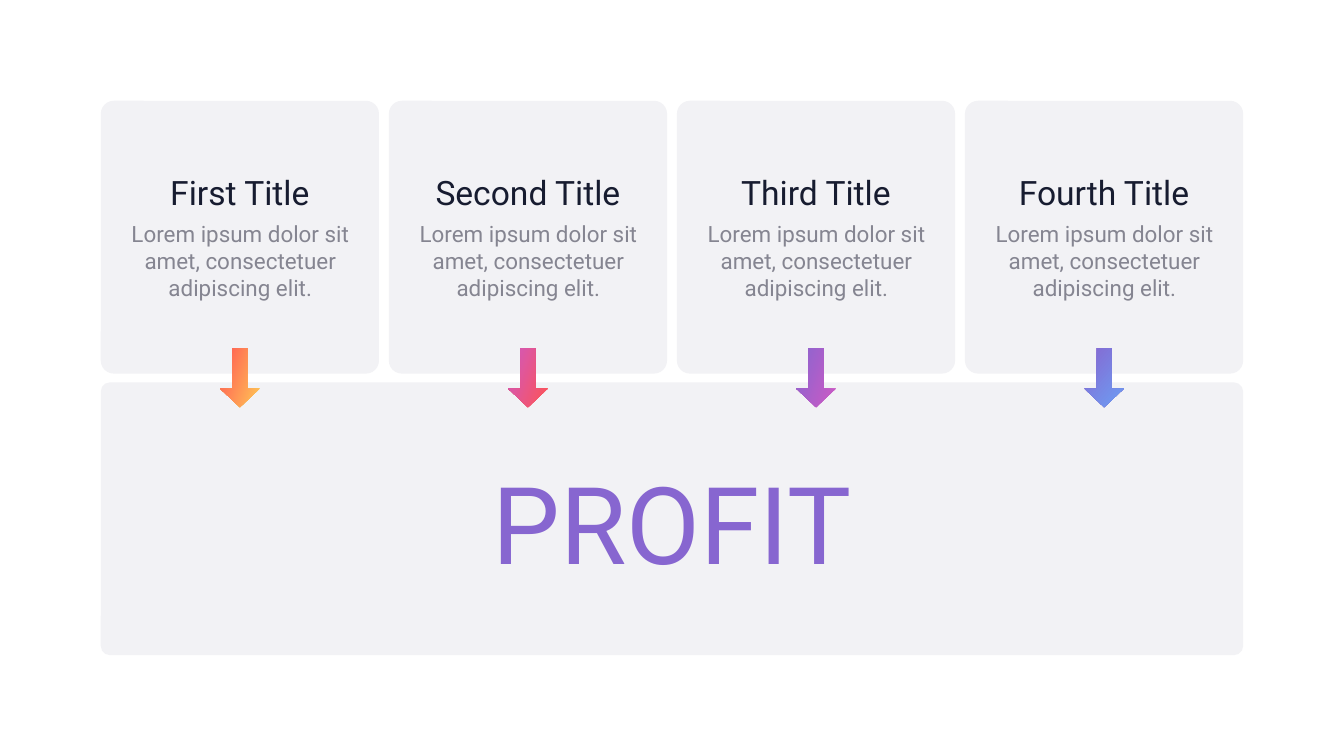
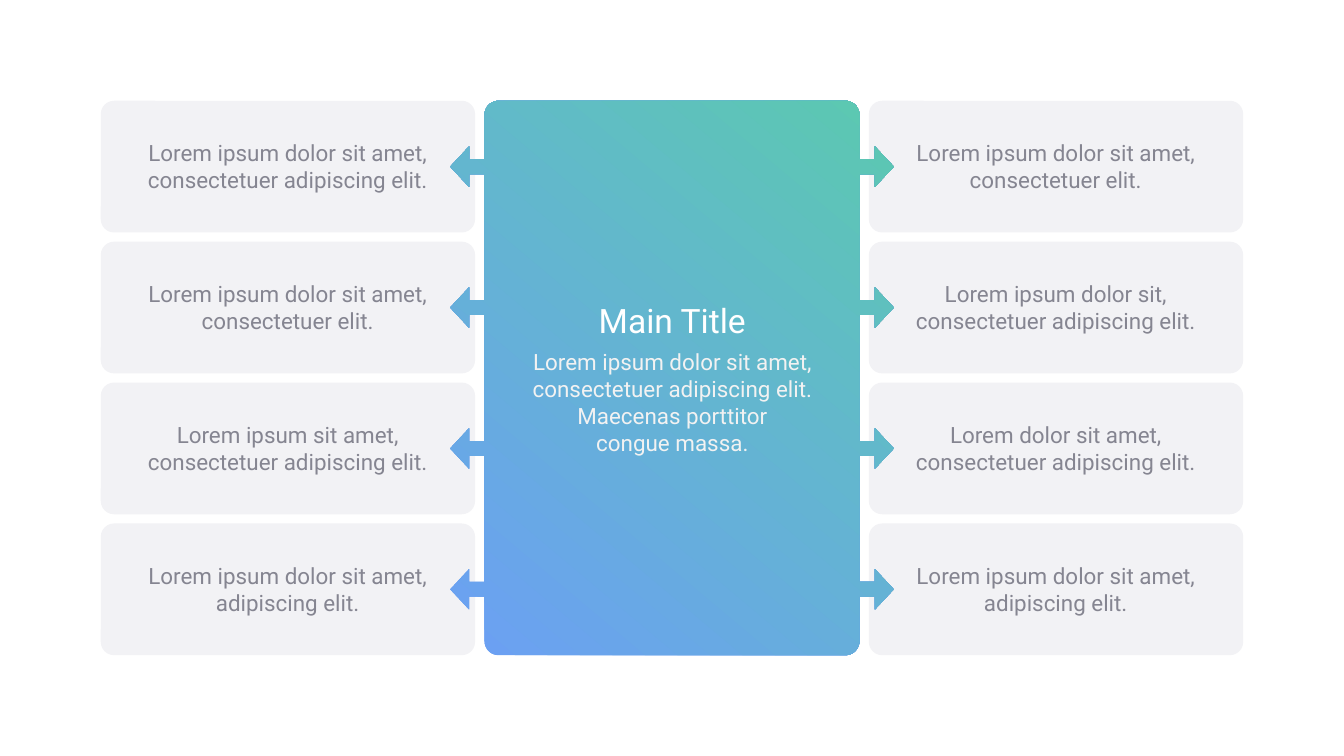
"""Build two slides: four steps leading to profit, and a hub pointing at eight notes."""
import math
from dataclasses import dataclass

from pptx import Presentation
from pptx import util as u
from pptx.dml.color import RGBColor
from pptx.dml.fill import FillFormat
from pptx.enum import shapes, text
from pptx.shapes.autoshape import Shape
from pptx.slide import Slide

FONT = "Roboto"
WHITE = RGBColor(0xFF, 0xFF, 0xFF)
CARD_GREY = RGBColor(0xF2, 0xF2, 0xF5)
PALE = RGBColor(0xF2, 0xF2, 0xF2)
INK = RGBColor(0x17, 0x1C, 0x30)
MUTED = RGBColor(0x85, 0x85, 0x91)
YELLOW = RGBColor(0xFF, 0xC9, 0x55)
RED = RGBColor(0xFF, 0x53, 0x55)
PINK = RGBColor(0xCE, 0x59, 0xC4)
PURPLE = RGBColor(0x87, 0x66, 0xD0)
BLUE = RGBColor(0x6C, 0x9F, 0xF4)
TEAL = RGBColor(0x5B, 0xC9, 0xB0)

SLIDE_WIDTH, SLIDE_HEIGHT = 20, 11.25
MARGIN = 1.5
CONTENT_WIDTH = SLIDE_WIDTH - 2 * MARGIN
CONTENT_HEIGHT = SLIDE_HEIGHT - 2 * MARGIN
COUNT = 4


@dataclass(frozen=True)
class Box:
    left: float
    top: float
    width: float
    height: float

    @property
    def center_x(self) -> float:
        return self.left + self.width / 2

    @property
    def center_y(self) -> float:
        return self.top + self.height / 2

    def lengths(self) -> list[u.Length]:
        return [u.Inches(n) for n in (self.left, self.top, self.width, self.height)]


@dataclass(frozen=True)
class Style:
    size: float
    color: RGBColor


@dataclass(frozen=True)
class Gradient:
    start: RGBColor
    end: RGBColor
    angle: float
    first_position: float = 0


@dataclass(frozen=True)
class Step:
    title: str
    gradient: Gradient


HEADING = Style(36, INK)
BODY = Style(24, MUTED)
HUB_HEADING = Style(36, WHITE)
HUB_BODY = Style(24, PALE)
PROFIT = Style(115, PURPLE)
PROFIT_GRADIENT = Gradient(PURPLE, BLUE, 50, 0.01)
HUB_GRADIENT = Gradient(BLUE, TEAL, 50)

STEP_TEXT = "Lorem ipsum dolor sit amet, consectetuer adipiscing elit."
STEPS = [
    Step("First Title", Gradient(YELLOW, RED, 250)),
    Step("Second Title", Gradient(RED, PINK, 250)),
    Step("Third Title", Gradient(PINK, PURPLE, 250)),
    Step("Fourth Title", Gradient(PURPLE, BLUE, 50)),
]
LEFT_NOTES = [
    "Lorem ipsum dolor sit amet, consectetuer adipiscing elit.",
    "Lorem ipsum dolor sit amet, consectetuer elit.",
    "Lorem ipsum sit amet, consectetuer adipiscing elit.",
    "Lorem ipsum dolor sit amet, adipiscing elit.",
]
RIGHT_NOTES = [
    "Lorem ipsum dolor sit amet, consectetuer elit.",
    "Lorem ipsum dolor sit, consectetuer adipiscing elit.",
    "Lorem dolor sit amet, consectetuer adipiscing elit.",
    "Lorem ipsum dolor sit amet, adipiscing elit.",
]
HUB_TEXT = [
    "Lorem ipsum dolor sit amet, consectetuer adipiscing elit. Maecenas porttitor",
    "congue massa.",
]


def starts(size: float, total: float) -> list[float]:
    """Return the starts of equally spaced items that fill a total length."""
    return [MARGIN + i * (total - size) / (COUNT - 1) for i in range(COUNT)]


def apply_gradient(fill: FillFormat, gradient: Gradient) -> None:
    """Fill with a two-stop linear gradient."""
    fill.gradient()
    fill.gradient_angle = gradient.angle
    first, last = fill.gradient_stops
    first.position, first.color.rgb = gradient.first_position, gradient.start
    last.position, last.color.rgb = 1, gradient.end


def strip_effects(shape: Shape) -> None:
    """Remove the outline and shadow."""
    shape.shadow.inherit = False
    shape.line.fill.background()


def add_card(page: Slide, box: Box, corner: float) -> None:
    """Draw a grey rounded card."""
    card = page.shapes.add_shape(shapes.MSO_SHAPE.ROUNDED_RECTANGLE, *box.lengths())
    card.adjustments[0] = corner
    card.fill.solid()
    card.fill.fore_color.rgb = CARD_GREY
    strip_effects(card)


def write(shape: Shape, lines: list[str], style: Style) -> None:
    """Write centred paragraphs in one style."""
    frame = shape.text_frame
    frame.word_wrap = True
    frame.auto_size = text.MSO_AUTO_SIZE.SHAPE_TO_FIT_TEXT
    frame.vertical_anchor = text.MSO_ANCHOR.TOP
    frame.text = "\n".join(lines)
    for para in frame.paragraphs:
        para.alignment = text.PP_ALIGN.CENTER
        para.font.name = FONT
        para.font.size = u.Pt(style.size)
        para.font.color.rgb = style.color


def add_text(page: Slide, box: Box, lines: list[str], style: Style) -> None:
    """Add a text box."""
    write(page.shapes.add_textbox(*box.lengths()), lines, style)


def place_title(page: Slide, box: Box, line: str, style: Style) -> Shape:
    """Move the title placeholder to the front and write it."""
    title = page.shapes.title
    page.shapes.element.append(title.element)
    title.left, title.top, title.width, title.height = box.lengths()
    write(title, [line], style)
    return title


def add_step(page: Slide, card: Box, step: Step) -> None:
    """Draw one step card with its texts."""
    add_card(page, card, 0.048)
    add_text(page, Box(card.center_x - 1.73, 2.51, 3.46, 0.71), [step.title], HEADING)
    add_text(page, Box(card.center_x - 1.87, 3.23, 3.75, 1.31), [STEP_TEXT], BODY)


def add_down_arrow(page: Slide, center_x: float, gradient: Gradient) -> None:
    """Draw an arrow from a step down to the profit card."""
    box = Box(center_x - 0.44, SLIDE_HEIGHT / 2 - 0.3, 0.88, 0.59)
    arrow = page.shapes.add_shape(shapes.MSO_SHAPE.RIGHT_ARROW, *box.lengths())
    arrow.rotation = 90
    arrow.adjustments[0], arrow.adjustments[1] = 0.378, 0.471
    apply_gradient(arrow.fill, gradient)
    strip_effects(arrow)


def build_profit(page: Slide) -> None:
    """Build the slide with four steps and the profit card."""
    width, height = 4.14, 4.06
    cards = [Box(left, MARGIN, width, height) for left in starts(width, CONTENT_WIDTH)]
    for card, step in zip(cards, STEPS):
        add_step(page, card, step)
    add_card(page, Box(MARGIN, 5.69, CONTENT_WIDTH, height), 0.034)
    title = place_title(page, Box(3.87, 6.76, 12.26, 2.04), "PROFIT", PROFIT)
    apply_gradient(title.text_frame.paragraphs[0].runs[0].font.fill, PROFIT_GRADIENT)
    for card, step in zip(cards, STEPS):
        add_down_arrow(page, card.center_x, step.gradient)


def corner_arc(x: float, y: float, radius: float, first: int) -> list[tuple[float, float]]:
    """Return points along a quarter circle, clockwise from an angle in degrees."""
    angles = [math.radians(first + degrees) for degrees in range(0, 91, 10)]
    return [(x + radius * math.cos(a), y + radius * math.sin(a)) for a in angles]


def add_hub(page: Slide, arrow_centers: list[float]) -> None:
    """Draw the rounded hub with arrows on both sides."""
    edge, neck, tip, radius = 12.79, 13.02, 13.3, 0.21
    bottom = SLIDE_HEIGHT - MARGIN
    profile = [(edge, -0.11), (neck, -0.11), (neck, -0.3), (tip, 0),
               (neck, 0.3), (neck, 0.11), (edge, 0.11)]
    right = corner_arc(edge - radius, MARGIN + radius, radius, -90)
    right += [(x, center + dy) for center in arrow_centers for x, dy in profile]
    right += corner_arc(edge - radius, bottom - radius, radius, 0)
    left = [(SLIDE_WIDTH - x, y) for x, y in reversed(right)]
    points = [(u.Inches(x), u.Inches(y)) for x, y in right + left]
    builder = page.shapes.build_freeform(*points[0])
    builder.add_line_segments(points[1:], close=True)
    hub = builder.convert_to_shape()
    apply_gradient(hub.fill, HUB_GRADIENT)
    strip_effects(hub)


def build_hub(page: Slide) -> None:
    """Build the slide with a central hub and notes on both sides."""
    width, height = 5.57, 1.96
    tops = starts(height, CONTENT_HEIGHT)
    sides = [(MARGIN, LEFT_NOTES), (SLIDE_WIDTH - MARGIN - width, RIGHT_NOTES)]
    for left, notes in sides:
        for top, note in zip(tops, notes):
            card = Box(left, top, width, height)
            add_card(page, card, 0.101)
            note_box = Box(card.center_x - 2.33, card.center_y - 0.46, 4.65, 0.91)
            add_text(page, note_box, [note], BODY)
    add_hub(page, [top + height / 2 for top in tops])
    place_title(page, Box(7.68, 4.41, 4.65, 0.71), "Main Title", HUB_HEADING)
    add_text(page, Box(7.68, 5.13, 4.65, 1.72), HUB_TEXT, HUB_BODY)


def main() -> None:
    """Build and save the deck."""
    deck = Presentation()
    deck.slide_width, deck.slide_height = u.Inches(SLIDE_WIDTH), u.Inches(SLIDE_HEIGHT)
    title_only = deck.slide_layouts[5]
    for build in (build_profit, build_hub):
        build(deck.slides.add_slide(title_only))
    deck.save("out.pptx")


if __name__ == "__main__":
    main()
